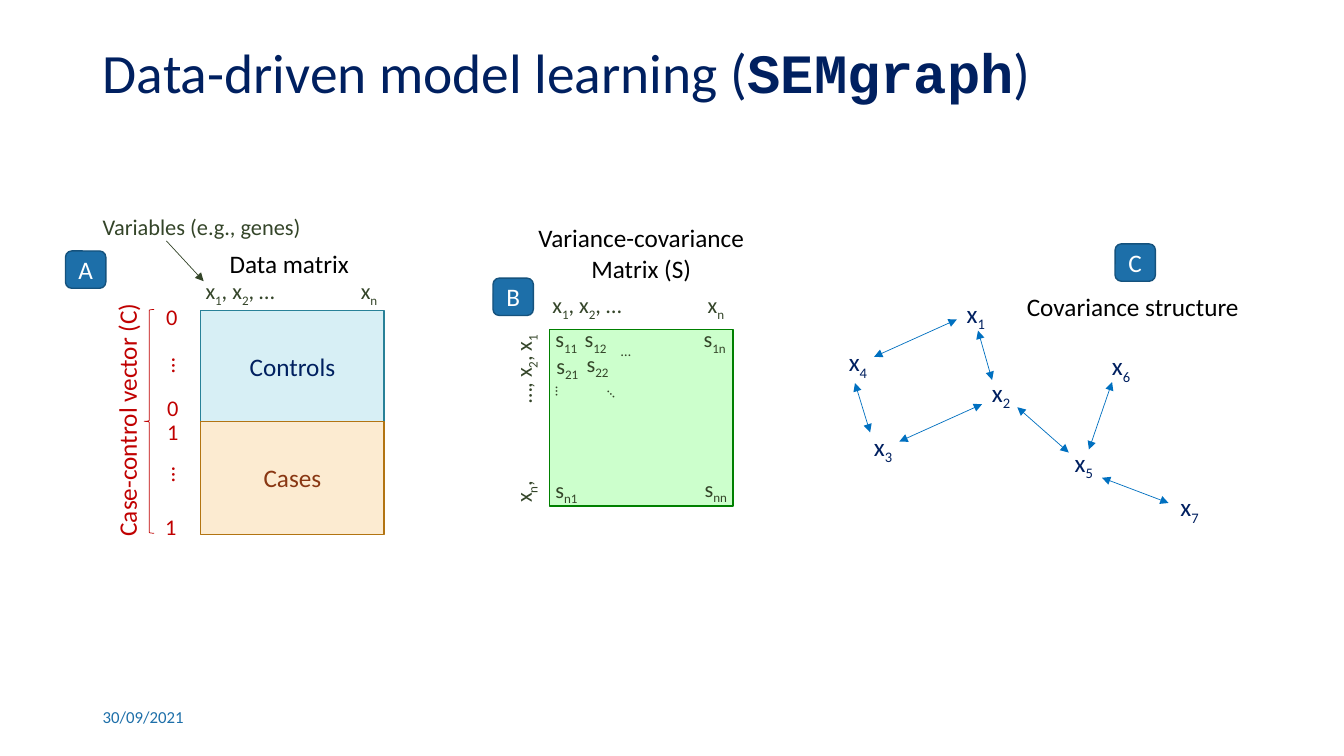
from dataclasses import dataclass

from lxml import etree
from pptx import Presentation
from pptx.dml.color import RGBColor
from pptx.enum.shapes import MSO_CONNECTOR, MSO_SHAPE
from pptx.enum.text import MSO_ANCHOR, MSO_AUTO_SIZE, PP_ALIGN
from pptx.oxml.ns import qn
from pptx.util import Inches, Pt

LEFT, CENTER = PP_ALIGN.LEFT, PP_ALIGN.CENTER
TOP, MIDDLE = MSO_ANCHOR.TOP, MSO_ANCHOR.MIDDLE
NO_FIT, GROW = MSO_AUTO_SIZE.NONE, MSO_AUTO_SIZE.SHAPE_TO_FIT_TEXT
RECTANGLE, ROUNDED = MSO_SHAPE.RECTANGLE, MSO_SHAPE.ROUNDED_RECTANGLE
BRACE = MSO_SHAPE.LEFT_BRACE
STRAIGHT = MSO_CONNECTOR.STRAIGHT

COLORS = {
    "navy": "002060", "blue": "1D6FA9", "blue edge": "15527D", "arrow": "0070C0",
    "red": "C00000", "olive": "344529", "black": "000000", "white": "FFFFFF",
    "control": "D7EFF5", "control edge": "288198",
    "case": "FCEBD1", "case edge": "B27412", "case text": "893713",
    "matrix": "CCFFCC", "matrix edge": "008000",
}


@dataclass
class Label:
    """Text box; every second piece between bars is a subscript."""
    text: str
    left: float
    top: float
    width: float
    height: float = 0.37
    color: str = "olive"
    size: float = 16
    rotation: float = 0
    align: PP_ALIGN = LEFT
    tab: float = 0


@dataclass
class Block:
    text: str
    left: float
    top: float
    width: float
    height: float
    fill: str
    edge: str
    color: str = "white"
    kind: MSO_SHAPE = RECTANGLE
    weight: float = 1


@dataclass
class Arrow:
    start: tuple[float, float]
    end: tuple[float, float]
    color: str = "arrow"
    double: bool = True


def rgb(name: str) -> RGBColor:
    return RGBColor.from_string(COLORS[name])


def apply_format(target, values: dict) -> None:
    for name, value in values.items():
        setattr(target, name, value)


def add_span(para, text: str, size: float, color: str, font: str = "Calibri",
             bold: bool = False, subscript: bool = False) -> None:
    span = para.add_run()
    span.text = text
    apply_format(span.font, {"name": font, "size": Pt(size), "bold": bold})
    span.font.color.rgb = rgb(color)
    if subscript:
        span.font._element.set("baseline", "-25000")


def add_label(page, label: Label, anchor=TOP) -> None:
    box = page.shapes.add_textbox(Inches(label.left), Inches(label.top),
                                  Inches(label.width), Inches(label.height))
    box.rotation = label.rotation
    frame = box.text_frame
    apply_format(frame, {"word_wrap": bool(label.tab), "auto_size": GROW if anchor == TOP else NO_FIT,
                         "vertical_anchor": anchor})
    for index, line in enumerate(label.text.split("\n")):
        para = frame.add_paragraph() if index else frame.paragraphs[0]
        para.alignment = label.align
        if label.tab:
            stops = etree.SubElement(para._p.get_or_add_pPr(), qn("a:tabLst"))
            etree.SubElement(stops, qn("a:tab"), pos=str(Inches(label.tab)), algn="l")
        for position, piece in enumerate(line.split("|")):
            if piece:
                add_span(para, piece, label.size, label.color, subscript=position % 2 == 1)


def add_block(page, block: Block) -> None:
    shape = page.shapes.add_shape(block.kind, Inches(block.left), Inches(block.top),
                                  Inches(block.width), Inches(block.height))
    shape.shadow.inherit = False
    if block.fill:
        shape.fill.solid()
        shape.fill.fore_color.rgb = rgb(block.fill)
    else:
        shape.fill.background()
    shape.line.color.rgb = rgb(block.edge)
    shape.line.width = Pt(block.weight)
    if block.text:
        shape.text_frame.vertical_anchor = MIDDLE
        para = shape.text_frame.paragraphs[0]
        para.alignment = CENTER
        add_span(para, block.text, 18, block.color)


def add_arrow(page, arrow: Arrow) -> None:
    points = [Inches(value) for value in (*arrow.start, *arrow.end)]
    connector = page.shapes.add_connector(STRAIGHT, *points)
    connector.line.color.rgb = rgb(arrow.color)
    connector.line.width = Pt(0.5)
    for end in ("a:headEnd", "a:tailEnd") if arrow.double else ("a:tailEnd",):
        etree.SubElement(connector.line._get_or_add_ln(), qn(end), type="triangle")
    etree.SubElement(connector._element.spPr, qn("a:effectLst"))


BLOCKS = [
    Block("Controls", 1.99, 3.08, 1.82, 1.11, "control", "control edge", "navy"),
    Block("Cases", 1.99, 4.18, 1.82, 1.12, "case", "case edge", "case text"),
    Block("", 1.43, 3.07, 0.1, 2.22, "", "red", kind=BRACE, weight=0.5),
    Block("", 5.45, 3.27, 1.82, 1.75, "matrix", "matrix edge"),
]
BADGES = {"A": (0.65, 2.49), "B": (4.89, 2.76), "C": (11.06, 2.42)}
CASE_CODES = [("0", 1.55, 2.96), ("0", 1.56, 3.86), ("1", 1.56, 4.1), ("1", 1.54, 5.04)]
CELLS = [("11", 5.41, 3.18), ("12", 5.7, 3.18), ("1n", 6.88, 3.18), ("21", 5.42, 3.44),
         ("22", 5.72, 3.42), ("n1", 5.41, 4.67), ("nn", 6.89, 4.66)]
CELL_DOTS = [(6.06, 3.18, 0), (6.05, 3.63, 44.6), (5.56, 3.75, 90)]
NODES = [(9.49, 2.91), (9.74, 3.69), (8.57, 4.23), (8.32, 3.39),
         (10.56, 4.39), (10.93, 3.43), (11.61, 4.83)]
COLUMN_NAMES = "x|1|, x|2|, …\tx|n"

LABELS = [
    # Data matrix
    Label("Case-control vector (C)", -0.01, 3.95, 2.54, 0.4, "red", 18, 270),
    Label("Variables (e.g., genes)", 0.92, 2.07, 2.19),
    Label(COLUMN_NAMES, 1.94, 2.7, 1.96, tab=1.54),
    Label("Data matrix", 2.18, 2.41, 1.4, 0.4, "black", 18),
    # Variance-covariance matrix
    Label("Variance-covariance\nMatrix (S)", 5.23, 2.16, 2.26, 0.71, "black", 18, align=CENTER),
    Label(COLUMN_NAMES, 5.38, 2.84, 1.96, tab=1.54),
    Label("x|n|,\t…, x|2|, x|1", 4.21, 3.92, 1.96, rotation=270, tab=0.98),
    # Covariance structure
    Label("Covariance structure", 10.07, 2.84, 2.33, 0.4, "black", 18, align=CENTER),
]
LABELS += [Label(code, left, top, 0.32, color="red") for code, left, top in CASE_CODES]
LABELS += [Label("…", 1.46, top, 0.37, color="red", rotation=270) for top in (3.43, 4.51)]
LABELS += [Label(f"s|{cell}", left, top, 0.44) for cell, left, top in CELLS]
LABELS += [Label("|…", left, top, 0.33, 0.3, size=18, rotation=turn)
           for left, top, turn in CELL_DOTS]
LABELS += [Label(f"x|{number}", left, top, 0.4, 0.4, "navy", 18)
           for number, (left, top) in enumerate(NODES, start=1)]

ARROWS = [
    Arrow((1.65, 2.39), (2.02, 2.79), "olive", double=False),
    Arrow((8.67, 3.54), (9.49, 3.17)),
    Arrow((8.92, 4.38), (9.74, 4.01)),
    Arrow((8.63, 4.29), (8.48, 3.8)),
    Arrow((9.84, 3.77), (9.7, 3.28)),
    Arrow((10.6, 4.49), (10.09, 4.04)),
    Arrow((10.93, 4.74), (11.59, 4.99)),
    Arrow((10.8, 4.46), (11.03, 3.79)),
]


def add_title(page) -> None:
    title = page.shapes.title
    apply_format(title, {"left": Inches(0.92), "top": Inches(0.36),
                         "width": Inches(11.5), "height": Inches(0.77)})
    apply_format(title.text_frame, {"auto_size": NO_FIT, "vertical_anchor": MIDDLE})
    para = title.text_frame.paragraphs[0]
    apply_format(para, {"alignment": LEFT, "line_spacing": 0.9})
    add_span(para, "Data-driven model learning (", 39.6, "navy")
    add_span(para, "SEMgraph", 39.6, "navy", "Courier New", bold=True)
    add_span(para, ")", 39.6, "navy")


def main() -> None:
    deck = Presentation()
    deck.slide_width, deck.slide_height = Inches(13.33), Inches(7.5)
    page = deck.slides.add_slide(deck.slide_layouts[5])
    add_title(page)
    for block in BLOCKS:
        add_block(page, block)
    for arrow in ARROWS:
        add_arrow(page, arrow)
    for label in LABELS:
        add_label(page, label)
    # Panel letters and date
    for letter, (left, top) in BADGES.items():
        add_block(page, Block(letter, left, top, 0.4, 0.37, "blue", "blue edge", kind=ROUNDED))
    add_label(page, Label("30/09/2021", 0.92, 6.95, 3, 0.33, "blue", 12, tab=1), MIDDLE)
    deck.save("out.pptx")


if __name__ == "__main__":
    main()
